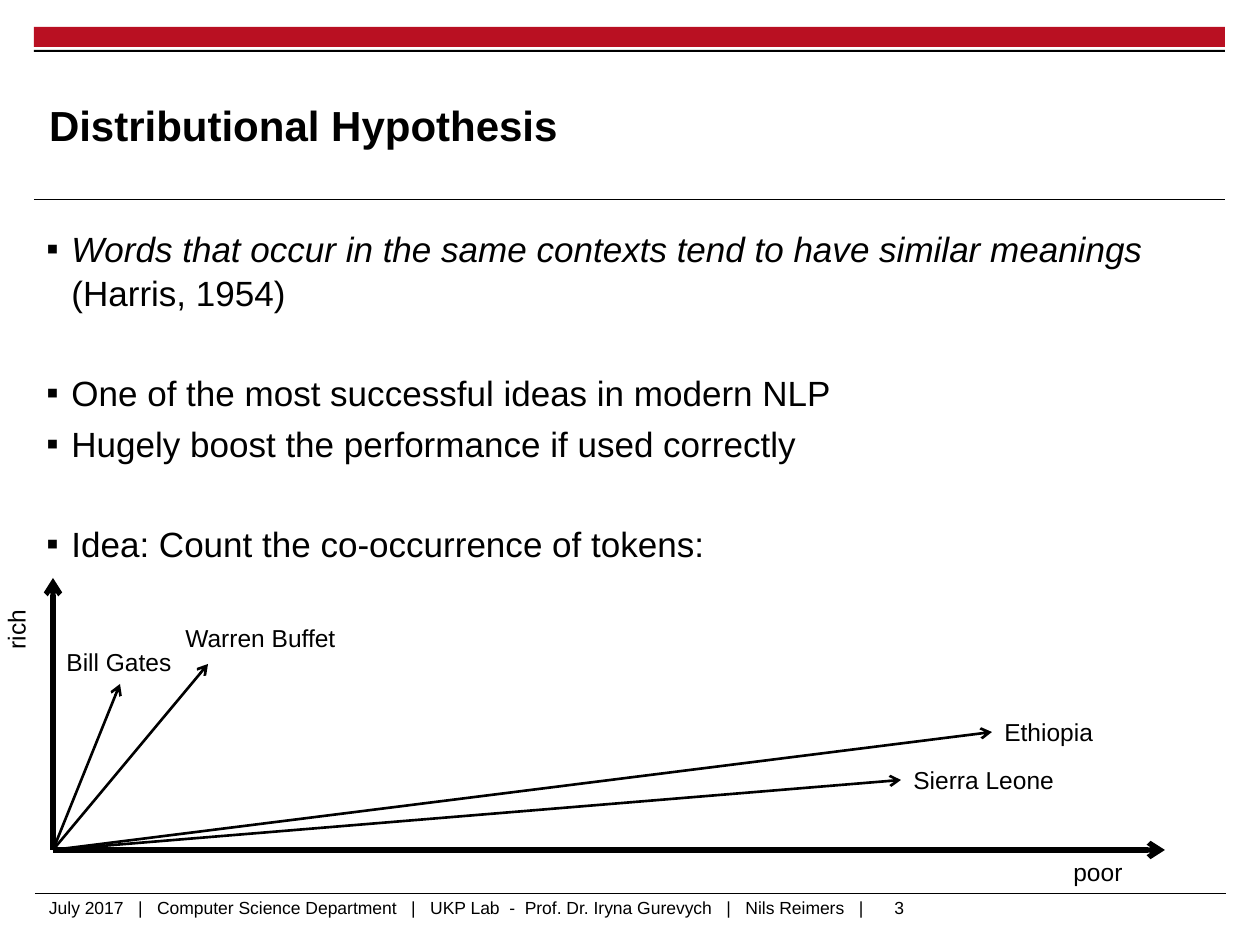
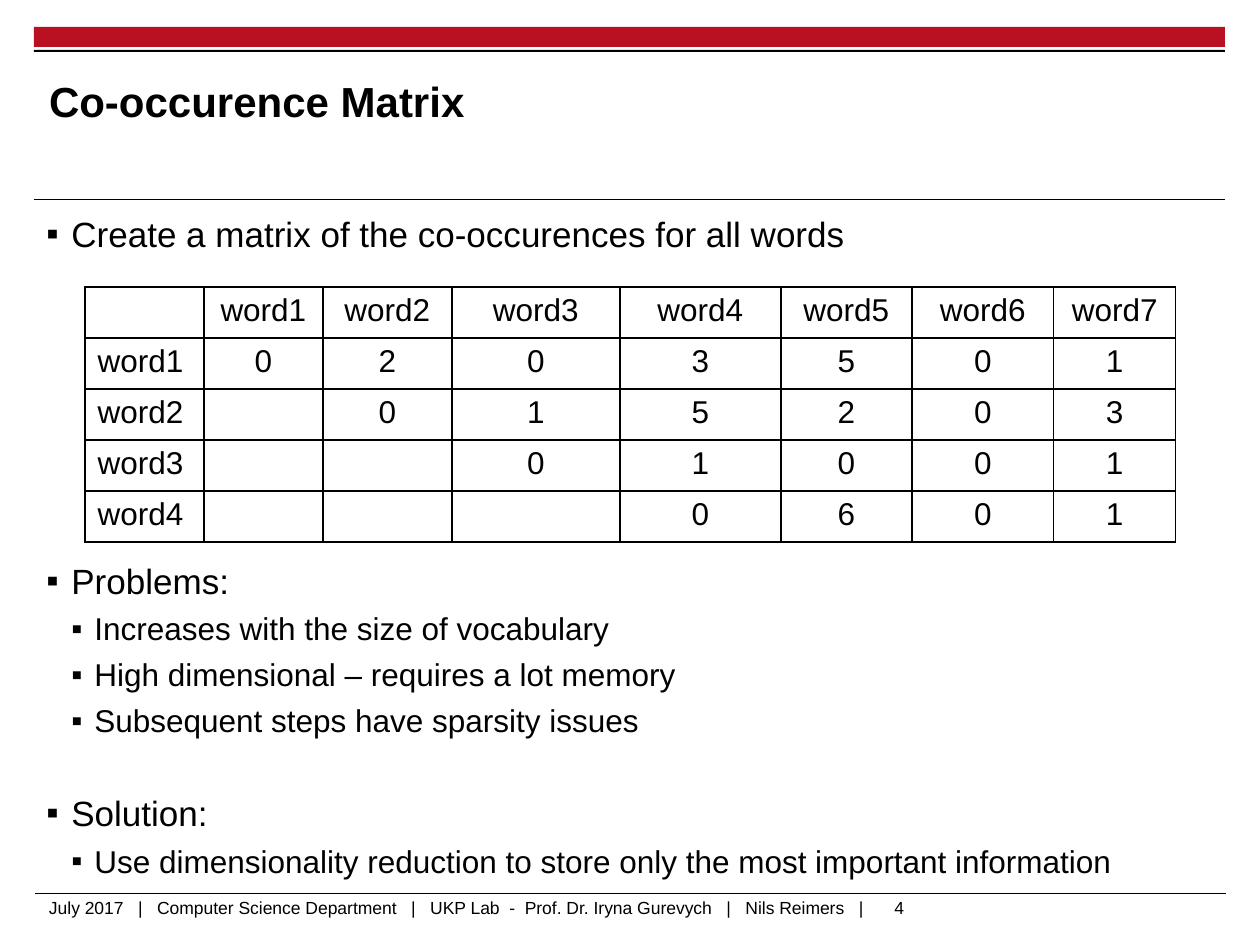
from pptx import Presentation
from pptx.util import Emu, Pt
from pptx.dml.color import RGBColor as Rgb
from pptx.enum.shapes import MSO_CONNECTOR as Conn, MSO_SHAPE as Kind
from pptx.enum.text import MSO_ANCHOR as Anchor, MSO_AUTO_SIZE as Fit, PP_ALIGN as Align
from pptx.oxml.ns import qn
from lxml.etree import SubElement as Sub

# Shared style; lengths are px, 126 to the inch
SCALE = 914400 / 126
FONT = "Arial"
HUES = {"red": "B91022", "ink": "000000"}
BARS = [("red", (34, 27, 1191, 20)), ("ink", (34, 50, 1191, 2))]
RULES = [((34, 200), (1225, 200)), ((35, 894), (1226, 894))]
TITLE = (49, 67, 948, 116)
FOOT = (49, 897, 1096, 32)
PAGE = (882, 891, 60, 34)
CREDIT = ("July 2017   |   Computer Science Department   |   UKP Lab  -  "
          "Prof. Dr. Iryna Gurevych   |   Nils Reimers   |")
# Bullet levels: text size, left margin, hanging indent, space before
LEVELS = [(20, 25, 25, 4), (18, 48, 23, 3.6)]

# Slide contents: bullets are (level, extra space before in pt, runs)
IDEAS = [
    (0, 0, ["Words that occur in the same contexts tend to have similar meanings ",
            "(Harris, 1954)"]),
    (0, 28, ["One of the most successful ideas in modern NLP"]),
    (0, 0, ["Hugely boost the performance if used correctly"]),
    (0, 28, ["Idea: Count the co-occurrence of tokens:"]),
]
ISSUES = [
    (0, 0, ["Create a matrix of the co-occurences for all words"]),
    (0, 169, ["Problems:"]),
    (1, 0, ["Increases with the size of vocabulary"]),
    (1, 0, ["High dimensional – requires a lot memory"]),
    (1, 0, ["Subsequent steps have sparsity issues"]),
    (0, 25, ["Solution:"]),
    (1, 0, ["Use dimensionality reduction to store only the most important information"]),
]
ORIGIN = (53, 850)
AXES = [("poor", (1165, 850), (1061, 851, 74, 43)),
        ("rich", (53, 578), (-5, 609, 55, 53))]
WORDS = [("Bill Gates", (120, 684), (54, 641, 131, 43)),
         ("Warren Buffet", (208, 664), (173, 617, 176, 43)),
         ("Ethiopia", (992, 732), (992, 711, 115, 43)),
         ("Sierra Leone", (901, 780), (901, 759, 166, 43))]
COUNTS = [[0, 2, 0, 3, 5, 0, 1],
          ["", 0, 1, 5, 2, 0, 3],
          ["", "", 0, 1, 0, 0, 1],
          ["", "", "", 0, 6, 0, 1]]
GRID = (85, 287)
WIDTHS = [119, 119, 129, 168, 161, 131, 142, 122]
ROW = 51


def px(*nums):
    return [Emu(round(n * SCALE)) for n in nums]


def ink(name="ink"):
    return Rgb.from_string(HUES[name])


def style(para, size, bold=False):
    for run in para.runs:
        font = run.font
        font.name, font.size, font.bold = FONT, Pt(size), bold
        font.color.rgb = ink()


def trim(frame):
    frame.margin_left = frame.margin_right = frame.margin_top = frame.margin_bottom = 0


def label(slide, text, box, size, wrap=False):
    frame = slide.shapes.add_textbox(*px(*box)).text_frame
    frame.text = text
    frame.word_wrap = wrap
    frame.auto_size = Fit.NONE if wrap else Fit.SHAPE_TO_FIT_TEXT
    style(frame.paragraphs[0], size)
    return frame


def line(slide, start, end, width, arrow=False):
    link = slide.shapes.add_connector(Conn.STRAIGHT, *px(*start, *end))
    link.line.color.rgb = ink()
    link.line.width = Pt(width)
    Sub(link._element.spPr, qn("a:effectLst"))
    if arrow:
        Sub(link.line._get_or_add_ln(), qn("a:tailEnd"), type="arrow")


def base(deck, num, title, lift=0):
    """Add a slide with bands, rules, footer and title."""
    slide = deck.slides.add_slide(deck.slide_layouts[5])
    for hue, box in BARS:
        bar = slide.shapes.add_shape(Kind.RECTANGLE, *px(*box))
        bar.fill.solid()
        bar.fill.fore_color.rgb = ink(hue)
        bar.line.fill.background()
        bar.shadow.inherit = False
    for start, end in RULES:
        line(slide, start, end, 0.6)
    label(slide, str(num), PAGE, 10)
    trim(label(slide, CREDIT, FOOT, 10, wrap=True))

    head = slide.shapes.title
    head.left, head.top, head.width, head.height = px(*TITLE)
    frame = head.text_frame
    frame.text = title
    trim(frame)
    frame.margin_bottom = px(lift)[0]
    frame.vertical_anchor = Anchor.MIDDLE
    frame.auto_size = Fit.NONE
    frame.paragraphs[0].alignment = Align.LEFT
    style(frame.paragraphs[0], 24, bold=True)
    return slide


def body(slide, items, box):
    frame = slide.shapes.add_textbox(*px(*box)).text_frame
    frame.word_wrap = True
    for i, (level, gap, parts) in enumerate(items):
        para = frame.add_paragraph() if i else frame.paragraphs[0]
        size, left, hang, space = LEVELS[level]
        for part in parts:
            para.add_run().text = part
        style(para, size)
        # A bullet in two runs opens with a quotation
        para.runs[0].font.italic = len(parts) > 1
        para.level = level
        para.line_spacing = 1.05
        para.space_before = Pt(space + gap if i else 0)
        props = para._p.get_or_add_pPr()
        props.set("marL", str(px(left)[0]))
        props.set("indent", str(px(-hang)[0]))
        Sub(props, qn("a:buFont"), typeface=FONT)
        Sub(props, qn("a:buChar"), char="▪")


def border(cell):
    props = cell._tc.get_or_add_tcPr()
    for i, side in enumerate(("lnL", "lnR", "lnT", "lnB")):
        edge = props.makeelement(qn("a:" + side), {"w": str(Pt(1))})
        fill = Sub(edge, qn("a:solidFill"))
        Sub(fill, qn("a:srgbClr"), val=HUES["ink"])
        props.insert(i, edge)


def matrix(slide):
    names = [f"word{i + 1}" for i in range(len(WIDTHS) - 1)]
    rows = [["", *names]] + [[n, *row] for n, row in zip(names, COUNTS)]
    size = (sum(WIDTHS), ROW * len(rows))
    table = slide.shapes.add_table(len(rows), len(WIDTHS), *px(*GRID, *size)).table
    table.first_row = table.horz_banding = False
    for col, width in zip(table.columns, px(*WIDTHS)):
        col.width = width
    for r, row in enumerate(rows):
        table.rows[r].height = px(ROW)[0]
        for c, value in enumerate(row):
            cell = table.cell(r, c)
            cell.text = str(value)
            para = cell.text_frame.paragraphs[0]
            para.alignment = Align.CENTER if c else Align.LEFT
            style(para, 18)
            cell.fill.background()
            border(cell)


def main():
    deck = Presentation()
    deck.slide_width, deck.slide_height = px(1260, 945)

    # Word vectors between two axes
    slide = base(deck, 3, "Distributional Hypothesis")
    body(slide, IDEAS, (34, 219, 1191, 122))
    for group, width in ((AXES, 3), (WORDS, 1.5)):
        for name, tip, box in group:
            line(slide, ORIGIN, tip, width, arrow=True)
            frame = label(slide, name, box, 14)
            if name == "rich":
                frame._txBody.bodyPr.set("vert", "vert270")

    # Count matrix and its problems
    slide = base(deck, 4, "Co-occurence Matrix", lift=49)
    body(slide, ISSUES, (34, 204, 1191, 684))
    matrix(slide)

    deck.save("out.pptx")


if __name__ == "__main__":
    main()
